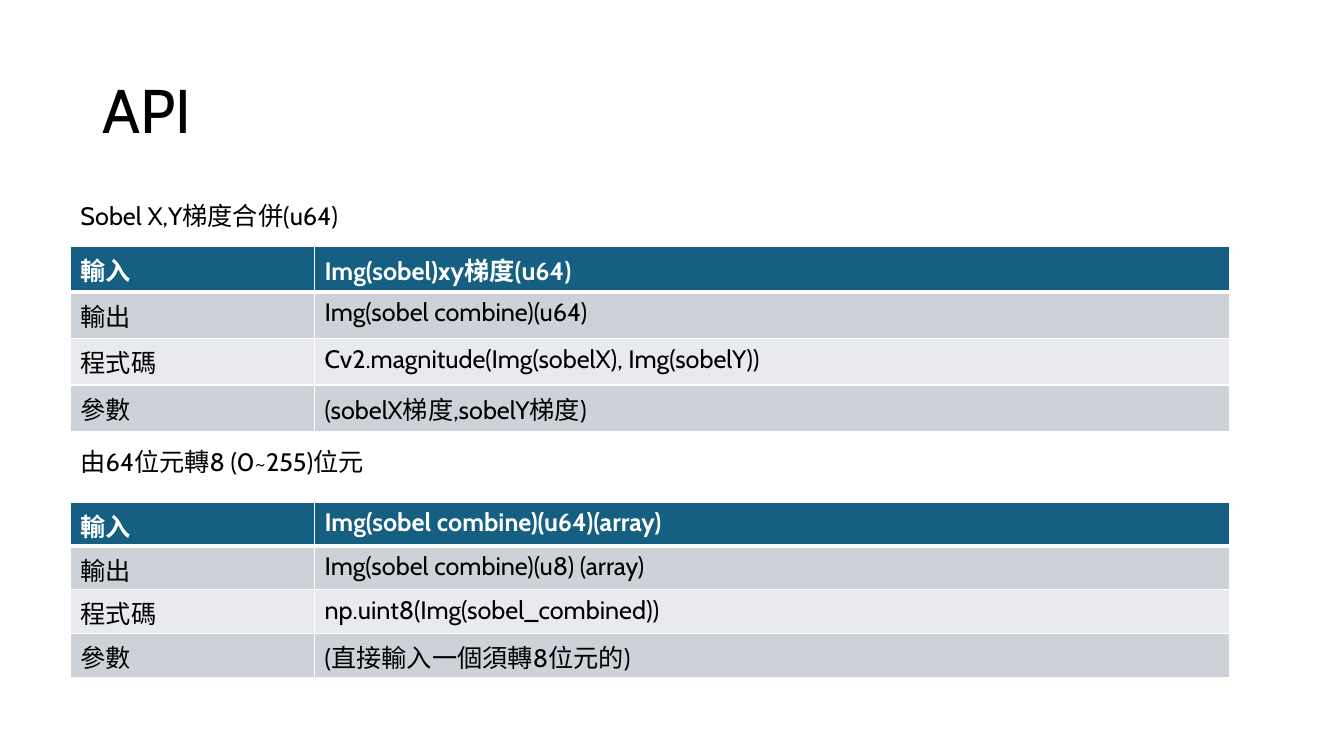
from lxml import etree
from pptx import Presentation
from pptx.dml.color import RGBColor
from pptx.enum.text import MSO_ANCHOR
from pptx.oxml.ns import qn
from pptx.util import Inches, Pt

MIDDLE, TOP = MSO_ANCHOR.MIDDLE, MSO_ANCHOR.TOP
FONT = "Cabin"
COLORS = {"header": "156082", "odd": "CCD2D8", "even": "E8EAED",
          "white": "FFFFFF", "black": "000000"}
TITLE = "API"
LABELS = ["輸入", "輸出", "程式碼", "參數"]
SECTIONS = [
    {"heading": "Sobel X,Y梯度合併(u64)", "heading_top": 1.94, "heading_width": 3.04,
     "table_top": 2.44, "table_height": 1.84,
     "values": ["Img(sobel)xy梯度(u64)", "Img(sobel combine)(u64)",
                "Cv2.magnitude(Img(sobelX), Img(sobelY))", "(sobelX梯度,sobelY梯度)"]},
    {"heading": "由64位元轉8 (0~255)位元", "heading_top": 4.38, "heading_width": 4.69,
     "table_top": 4.98, "table_height": 1.74,
     "values": ["Img(sobel combine)(u64)(array)", "Img(sobel combine)(u8) (array)",
                "np.uint8(Img(sobel_combined))", "(直接輸入一個須轉8位元的)"]},
]
LEFT = 0.7
COLUMN_WIDTHS = [2.42, 9.08]


def write_text(frame, text, size=18, color="black", bold=False, spacing=None):
    paragraph = frame.paragraphs[0]
    paragraph.line_spacing = spacing
    run = paragraph.add_run()
    run.text = text
    run.font.name = FONT
    run.font.size = Pt(size)
    run.font.bold = bold
    run.font.color.rgb = RGBColor.from_string(COLORS[color])


def add_text_box(slide, text, left, top, width, height, anchor=TOP, **text_format):
    shape = slide.shapes.add_textbox(Inches(left), Inches(top), Inches(width), Inches(height))
    shape.text_frame.word_wrap = True
    shape.text_frame.vertical_anchor = anchor
    write_text(shape.text_frame, text, **text_format)


def set_borders(cell, row):
    widths = {"a:lnL": 1, "a:lnR": 1, "a:lnT": 3 if row == 1 else 1,
              "a:lnB": 3 if row == 0 else 1}
    properties = cell._tc.get_or_add_tcPr()
    for position, (tag, width) in enumerate(widths.items()):
        line = etree.Element(qn(tag), w=str(Pt(width)))
        fill = etree.SubElement(line, qn("a:solidFill"))
        etree.SubElement(fill, qn("a:srgbClr"), val=COLORS["white"])
        properties.insert(position, line)


def add_api_table(slide, values, top, height):
    rows = list(zip(LABELS, values))
    table = slide.shapes.add_table(
        len(rows), len(COLUMN_WIDTHS), Inches(LEFT), Inches(top),
        Inches(sum(COLUMN_WIDTHS)), Inches(height)).table
    for column, width in zip(table.columns, COLUMN_WIDTHS):
        column.width = Inches(width)
    for row, texts in enumerate(rows):
        header = row == 0
        fill = "header" if header else "odd" if row % 2 else "even"
        for column, text in enumerate(texts):
            cell = table.cell(row, column)
            cell.fill.solid()
            cell.fill.fore_color.rgb = RGBColor.from_string(COLORS[fill])
            set_borders(cell, row)
            write_text(cell.text_frame, text, color="white" if header else "black", bold=header)


def main():
    """Build the API slide with two parameter tables."""
    presentation = Presentation()
    presentation.slide_width = Inches(13.33)
    presentation.slide_height = Inches(7.5)
    slide = presentation.slides.add_slide(presentation.slide_layouts[6])
    add_text_box(slide, TITLE, 0.92, 0.4, 11.5, 1.45, anchor=MIDDLE, size=44, spacing=0.9)
    for section in SECTIONS:
        add_text_box(slide, section["heading"], LEFT, section["heading_top"],
                     section["heading_width"], 0.4)
        add_api_table(slide, section["values"], section["table_top"], section["table_height"])
    presentation.save("out.pptx")


if __name__ == "__main__":
    main()
